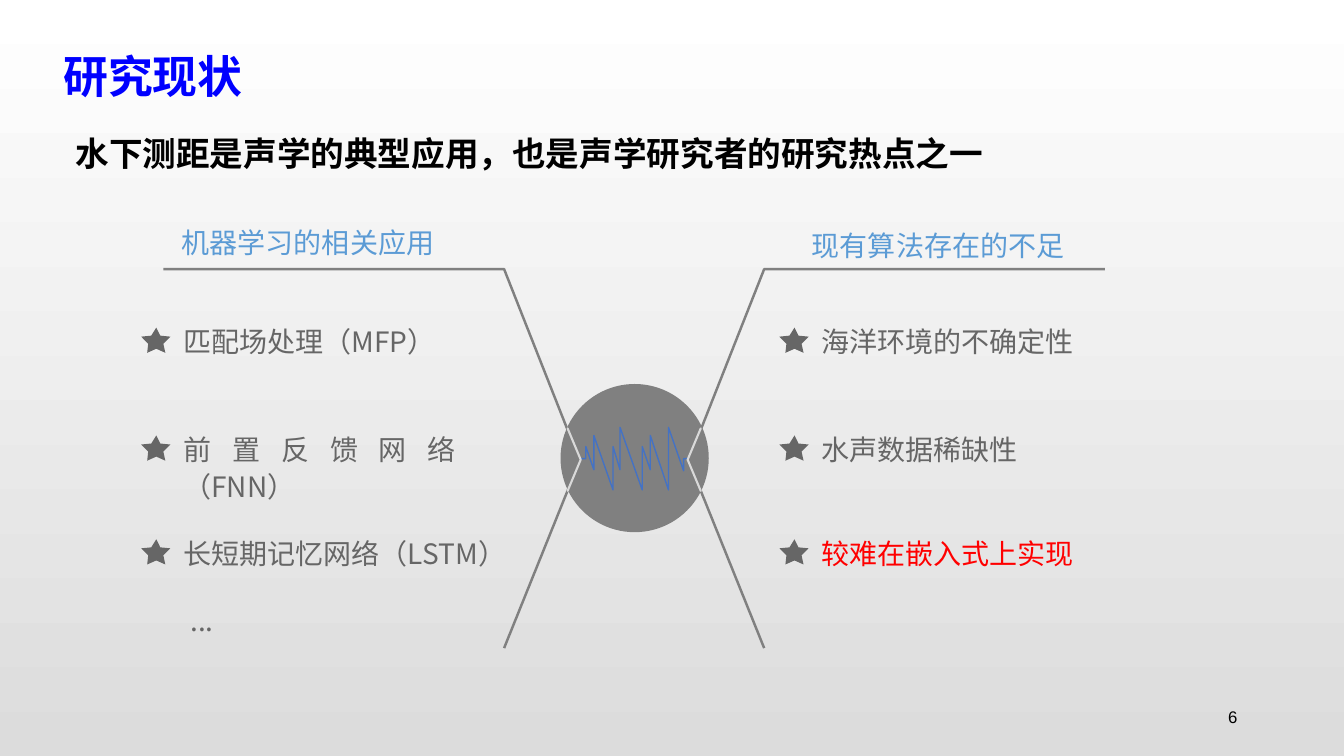
import pptx
import pptx.util
import pptx.dml.color
import pptx.enum.shapes
import pptx.enum.text
import pptx.oxml
import pptx.oxml.ns

Inches = pptx.util.Inches
Align = pptx.enum.text.PP_ALIGN
Preset = pptx.enum.shapes.MSO_SHAPE

COLORS = {
    "white": "FFFFFF", "mist": "DCDCDC", "black": "000000", "title": "0000FF",
    "heading": "5B9BD5", "body": "666666", "alert": "FF0000",
    "gray": "808080", "wave": "4472C4", "edge": "D9D9D9",
}
MIRROR_SUM = 12.58  # left x + right x of mirrored points

WAVE = [(5.75, 4.55), (5.81, 4.55), (5.81, 4.43), (5.89, 4.66), (5.89, 4.32),
        (6.08, 4.86), (6.08, 4.43), (6.15, 4.66), (6.15, 4.24), (6.37, 4.86),
        (6.37, 4.43), (6.45, 4.66), (6.45, 4.32), (6.63, 4.86), (6.63, 4.24),
        (6.78, 4.67), (6.78, 4.55), (6.83, 4.55)]
BRANCH = [(1.62, 2.67), (5, 2.67), (5.75, 4.57), (5, 6.43)]
STAR = [(0.15, 0), (0.19, 0.08), (0.29, 0.09), (0.22, 0.16), (0.24, 0.25),
        (0.15, 0.21), (0.06, 0.25), (0.07, 0.16), (0, 0.09), (0.1, 0.08)]


def color(name):
    return pptx.dml.color.RGBColor.from_string(COLORS[name])


class SlideBuilder:
    def __init__(self, page, font="Noto Sans CJK SC"):
        self.page = page
        self.font = font

    def background(self, top, bottom):
        fill = self.page.background.fill
        fill.gradient()
        fill.gradient_angle = 270
        for stop, name in zip(fill.gradient_stops, (top, bottom)):
            stop.color.rgb = color(name)

    def text(self, words, left, top, width, height, size=20, ink="body", bold=False,
             align=Align.LEFT, spacing=None, wrap=True, font=None, middle=False):
        box = self.page.shapes.add_textbox(*map(Inches, (left, top, width, height)))
        frame = box.text_frame
        frame.word_wrap = wrap
        if middle:
            frame.vertical_anchor = pptx.enum.text.MSO_ANCHOR.MIDDLE
        else:
            frame.auto_size = pptx.enum.text.MSO_AUTO_SIZE.SHAPE_TO_FIT_TEXT
        frame.text = words
        para = frame.paragraphs[0]
        para.alignment = align
        if spacing:
            para.line_spacing = spacing
        span = para.runs[0]
        span.font.size = pptx.util.Pt(size)
        span.font.bold = bold
        span.font.color.rgb = color(ink)
        span.font.name = font or self.font
        # East Asian text needs its own typeface entry
        east = pptx.oxml.parse_xml(
            f'<a:ea {pptx.oxml.ns.nsdecls("a")} typeface="{font or self.font}"/>')
        span.font._element.append(east)

    def paint(self, shape, fill=None, line=None, weight=1):
        shape.shadow.inherit = False
        if fill:
            shape.fill.solid()
            shape.fill.fore_color.rgb = color(fill)
        else:
            shape.fill.background()
        if line:
            shape.line.color.rgb = color(line)
            shape.line.width = pptx.util.Pt(weight)
        else:
            shape.line.fill.background()

    def shape(self, kind, left, top, width, height, **style):
        shape = self.page.shapes.add_shape(kind, *map(Inches, (left, top, width, height)))
        self.paint(shape, **style)
        return shape

    def outline(self, points, closed=False, **style):
        corners = [(Inches(x), Inches(y)) for x, y in points]
        builder = self.page.shapes.build_freeform(*corners[0])
        builder.add_line_segments(corners[1:], close=closed)
        self.paint(builder.convert_to_shape(), **style)

    def star_item(self, words, left, top, width, ink="body"):
        self.text(words, left + 0.32, top, width, 0.47, ink=ink,
                  align=Align.JUSTIFY, spacing=1.1)
        self.outline([(left + x, top + 0.11 + y) for x, y in STAR],
                     closed=True, fill="body")


def main():
    deck = pptx.Presentation()
    deck.slide_width, deck.slide_height = Inches(13.33), Inches(7.5)
    slide = SlideBuilder(deck.slides.add_slide(deck.slide_layouts[6]))
    slide.background("white", "mist")

    # Page number, title and key message
    slide.text("6", 9.42, 6.94, 2.95, 0.35, size=12, ink="black",
               align=Align.RIGHT, font="Arial", middle=True)
    slide.text("研究现状", 0.53, 0.17, 1.99, 0.91, size=32, ink="title",
               bold=True, spacing=1.5, wrap=False)
    slide.text("水下测距是声学的典型应用，也是声学研究者的研究热点之一",
               0.65, 1.07, 9.48, 0.71, size=24, ink="black", bold=True, spacing=1.5)

    # Central disc with the sound wave
    slide.shape(Preset.OVAL, 5.56, 3.81, 1.47, 1.47, fill="gray")
    slide.outline(WAVE, line="wave")

    # Mirrored branches and chevrons
    slide.outline(BRANCH, line="gray", weight=1.75)
    slide.outline([(MIRROR_SUM - x, y) for x, y in BRANCH], line="gray", weight=1.75)
    for left, turn in ((5.63, 0), (6.82, 180)):
        chevron = slide.shape(Preset.CHEVRON, left, 4.25, 0.13, 0.62,
                              fill="heading", line="edge", weight=1.5)
        chevron.adjustments[0] = 1
        chevron.rotation = turn

    # Column headings
    slide.text("机器学习的相关应用", 1.4, 2.19, 3.31, 0.44, ink="heading", align=Align.CENTER)
    slide.text("现有算法存在的不足", 7.65, 2.22, 3.31, 0.44, ink="heading", align=Align.CENTER)

    # Starred items, one row for both columns
    rows = [
        (3.14, 2.9, "匹配场处理（MFP）", "海洋环境的不确定性", "body"),
        (4.21, 2.9, "前置反馈网络（FNN）", "水声数据稀缺性", "body"),
        (5.24, 3.56, "长短期记忆网络（LSTM）", "较难在嵌入式上实现", "alert"),
    ]
    for top, width, method, weakness, ink in rows:
        slide.star_item(method, 1.4, top, width)
        slide.star_item(weakness, 7.73, top, width, ink)
    slide.text("...", 1.79, 5.91, 3.14, 0.47, align=Align.JUSTIFY, spacing=1.1)

    deck.save("out.pptx")


if __name__ == "__main__":
    main()
